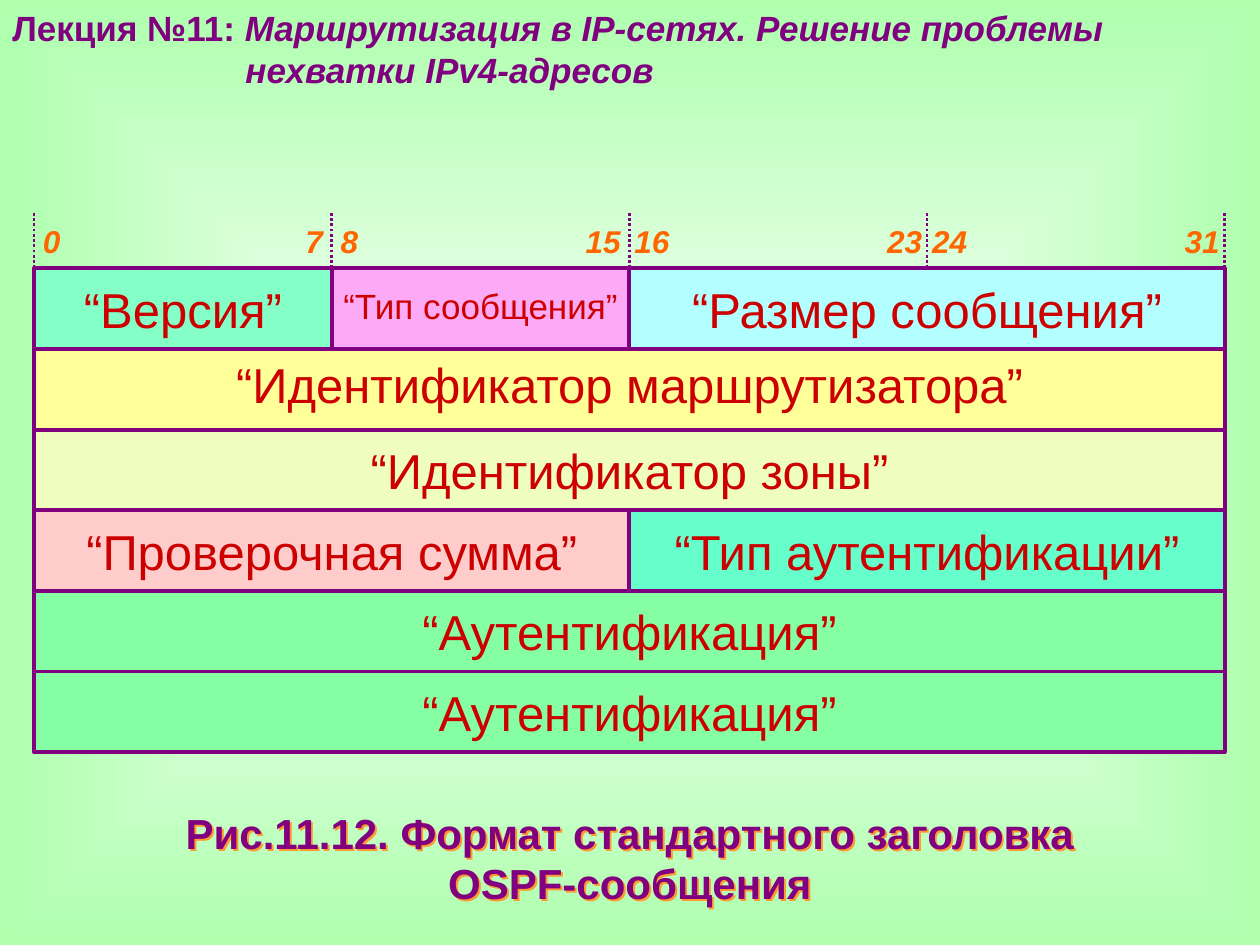
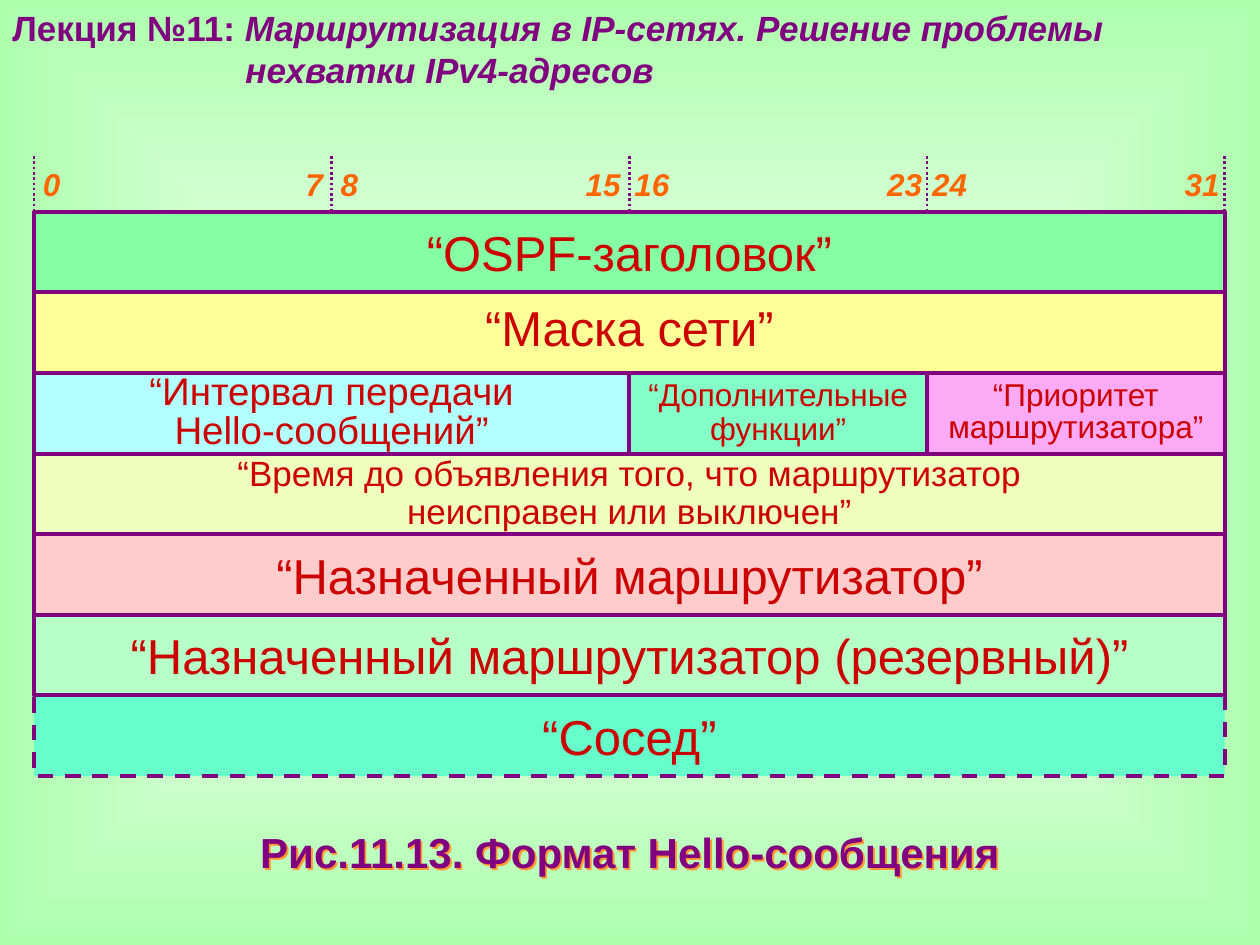
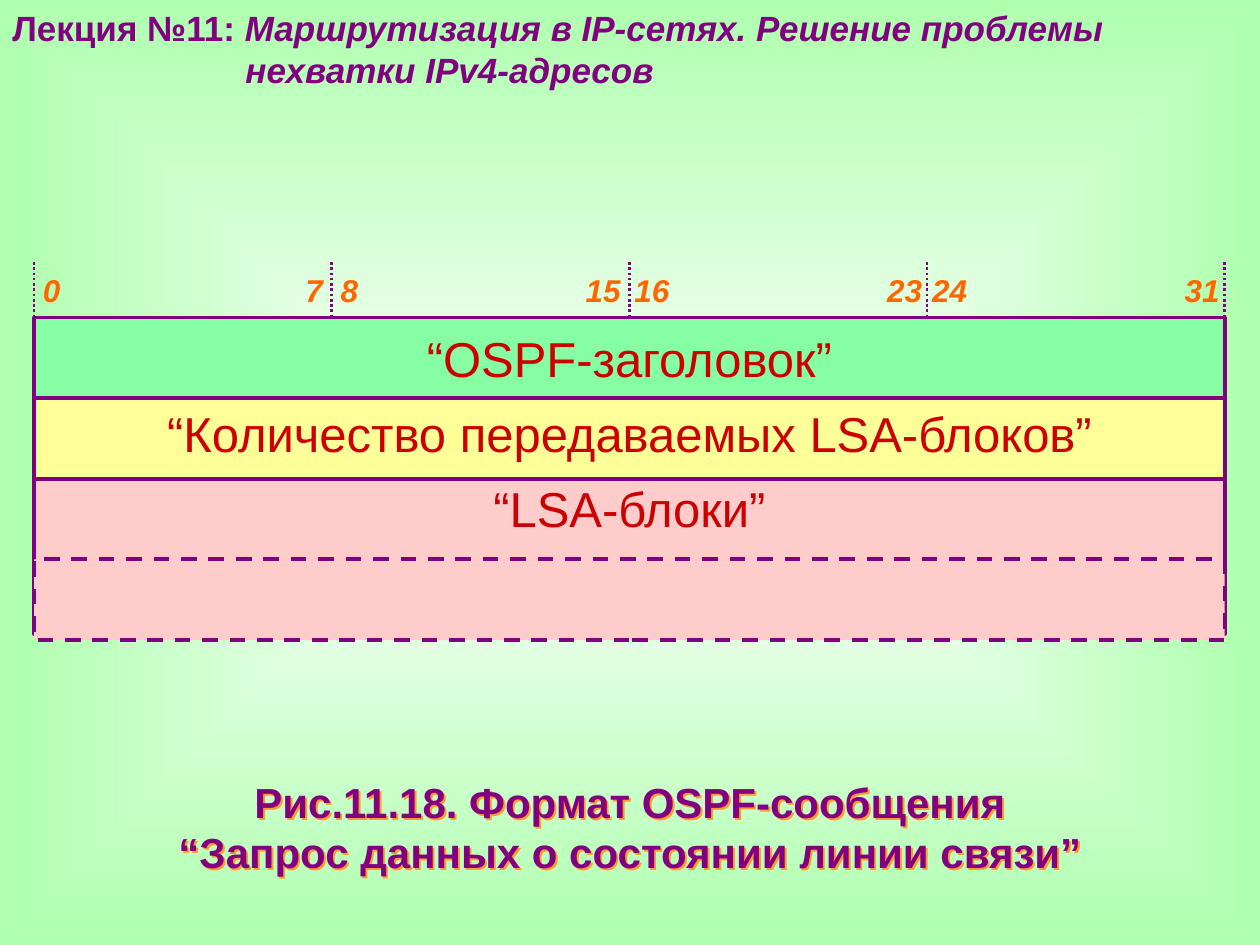
from dataclasses import dataclass

from lxml import etree
from pptx import Presentation
from pptx.dml.color import RGBColor
from pptx.enum.dml import MSO_LINE
from pptx.enum.shapes import MSO_CONNECTOR, MSO_SHAPE
from pptx.enum.text import MSO_ANCHOR, PP_ALIGN
from pptx.oxml.ns import qn
from pptx.util import Inches, Pt

RECT = MSO_SHAPE.RECTANGLE
LINE = MSO_CONNECTOR.STRAIGHT
DASH, DOT = MSO_LINE.DASH, MSO_LINE.ROUND_DOT
TOP, MID = MSO_ANCHOR.TOP, MSO_ANCHOR.MIDDLE
LEFT, MIDDLE = PP_ALIGN.LEFT, PP_ALIGN.CENTER

WIDE, HIGH = 10, 7.5    # slide size, inches
EDGE, SPAN = 0.27, 9.45  # left edge and width of the header grid
BITS = 32               # columns of the grid
BIT, ROW = SPAN / BITS, 0.64
BYTE = 8


@dataclass(frozen=True)
class Theme:
    font: str = "Arial"
    # Colours
    ink: str = "800080"
    text: str = "CC0000"
    mark: str = "FF6600"
    glow: str = "FF9933"
    core: str = "FFFFFF"
    rim: str = "AFFFAF"
    yellow: str = "FFFF99"
    pink: str = "FCAAF6"
    mint: str = "85FFC8"
    cream: str = "EFFEBE"
    green: str = "86FEA3"
    rose: str = "FFCCCC"
    teal: str = "66FFCC"
    sky: str = "B3FFFF"
    pale: str = "B8FEC9"
    # Type sizes
    note: int = 18
    small: int = 20
    fair: int = 22
    head: int = 24
    big: int = 28


T = Theme()


@dataclass
class Field:
    """A header field: place in rows and bits, then its look."""
    row: int
    start: int
    bits: int
    text: str
    fill: str
    size: int = T.big
    lead: float = 1.0
    rows: float = 1
    dash: bool = False
    anchor: MSO_ANCHOR = MID


class Deck:
    def __init__(self, theme):
        self.theme = theme
        self.prs = Presentation()
        self.prs.slide_width, self.prs.slide_height = Inches(WIDE), Inches(HIGH)
        self.paint()

    def paint(self):
        """Give the master a glow from the centre."""
        master = self.prs.slide_master
        fill = master.background.fill
        fill.gradient()
        for stop, tint in zip(fill.gradient_stops, (self.theme.core, self.theme.rim)):
            stop.color.rgb = RGBColor.from_string(tint)
        lin = next(master._element.iter(qn("a:lin")))
        glow = etree.Element(qn("a:path"), {"path": "shape"})
        sides = dict.fromkeys("ltrb", "50000")
        etree.SubElement(glow, qn("a:fillToRect"), sides)
        lin.getparent().replace(lin, glow)

    def page(self, top):
        """Start a slide whose grid begins at a share of its height."""
        self.slide = self.prs.slides.add_slide(self.prs.slide_layouts[6])
        self.top = top * HIGH

    def style(self, para, size, tint, bold=False, slant=None, align=LEFT):
        font = para.font
        font.name, font.size = self.theme.font, Pt(size)
        font.bold, font.italic = bold, slant
        font.color.rgb = RGBColor.from_string(tint)
        para.alignment = align

    def stroke(self, line, width, dash=None):
        line.color.rgb = RGBColor.from_string(self.theme.ink)
        line.width = Pt(width)
        if dash:
            line.dash_style = dash

    def box(self, x, y, w, h, text=""):
        box = self.slide.shapes.add_textbox(*map(Inches, (x, y, w, h)))
        box.text_frame.word_wrap = True
        box.text_frame.text = text
        return box

    def title(self, label, first, second):
        frame = self.box(0, 0, 0.903 * WIDE, 0.77).text_frame
        head, tail = frame.paragraphs[0], frame.add_paragraph()
        head.add_run().text = label
        run = head.add_run()
        run.text, run.font.italic = first, True
        tail.text = second
        tail._p.get_or_add_pPr().set("marL", str(Inches(1.85)))
        self.style(head, self.theme.small, self.theme.ink, True)
        self.style(tail, self.theme.small, self.theme.ink, True, True)

    def caption(self, y, text):
        lines = text.count("\n") + 1
        box = self.box(0, y * HIGH, WIDE, 0.1 + 0.4 * lines, text)
        for para in box.text_frame.paragraphs:
            self.style(para, self.theme.head, self.theme.ink, True, align=MIDDLE)
        # Coloured shadow under the letters
        fx = etree.SubElement(box._element.spPr, qn("a:effectLst"))
        shade = etree.SubElement(fx, qn("a:outerShdw"), dist="20000", dir="2700000", algn="ctr")
        etree.SubElement(shade, qn("a:srgbClr"), val=self.theme.glow)

    def tick(self, bit):
        x, y = EDGE + bit * BIT, self.top - 0.44
        line = self.slide.shapes.add_connector(LINE, *map(Inches, (x, y, x, y + 0.59)))
        self.stroke(line.line, 1.5, DOT)
        etree.SubElement(line._element.spPr, qn("a:effectLst"))

    def range(self, start):
        """Number the first and last bit of one byte."""
        pad = 0.07 if start < BITS / 2 else 0.04
        width = BYTE * BIT
        box = self.box(EDGE + start * BIT, self.top - 0.44, width, 0.44,
                       f"{start}\t{start + BYTE - 1}")
        frame = box.text_frame
        frame.margin_left = Inches(pad)
        frame.margin_right = frame.margin_top = frame.margin_bottom = 0
        frame.vertical_anchor = MID
        para = frame.paragraphs[0]
        self.style(para, self.theme.note, self.theme.mark, True, True)
        props = para._p.get_or_add_pPr()
        tabs = etree.Element(qn("a:tabLst"))
        etree.SubElement(tabs, qn("a:tab"), pos=str(Inches(width - 2 * pad)), algn="r")
        props.find(qn("a:defRPr")).addprevious(tabs)

    def ruler(self):
        for bit in range(0, BITS + 1, BYTE):
            self.tick(bit)
        for bit in range(0, BITS, BYTE):
            self.range(bit)

    def field(self, item):
        place = (EDGE + item.start * BIT, self.top + item.row * ROW,
                 item.bits * BIT, item.rows * ROW)
        cell = self.slide.shapes.add_shape(RECT, *map(Inches, place))
        cell.shadow.inherit = False
        cell.fill.solid()
        cell.fill.fore_color.rgb = RGBColor.from_string(item.fill)
        self.stroke(cell.line, 2.25, DASH if item.dash else None)
        frame = cell.text_frame
        frame.margin_left = frame.margin_right = 0
        frame.margin_top = frame.margin_bottom = 0
        frame.word_wrap, frame.vertical_anchor = True, item.anchor
        if item.text:
            frame.text = item.text
            for para in frame.paragraphs:
                self.style(para, item.size, self.theme.text, align=MIDDLE)
                para.line_spacing = item.lead


# Each page: grid top, caption top, caption, fields under and over the ruler
PAGES = [
    (0.284, 0.848, "Рис.11.12. Формат стандартного заголовка\nOSPF-сообщения", [], [
        Field(0, 0, 8, "“Версия”", T.mint),
        Field(0, 8, 8, "“Тип сообщения”", T.pink, T.small, 0.85),
        Field(0, 16, 16, "“Размер сообщения”", T.sky),
        Field(1, 0, 32, "“Идентификатор маршрутизатора”", T.yellow, lead=0.8),
        Field(2, 0, 32, "“Идентификатор зоны”", T.cream),
        Field(3, 0, 16, "“Проверочная сумма”", T.rose),
        Field(3, 16, 16, "“Тип аутентификации”", T.teal),
        Field(4, 0, 32, "“Аутентификация”", T.green),
        Field(5, 0, 32, "“Аутентификация”", T.green),
    ]),
    (0.224, 0.868, "Рис.11.13. Формат Hello-сообщения", [
        Field(6, 0, 32, "“Сосед”", T.teal, dash=True),
    ], [
        Field(0, 0, 32, "“OSPF-заголовок”", T.green),
        Field(1, 0, 32, "“Маска сети”", T.yellow, lead=0.8),
        Field(2, 0, 16, "“Интервал передачи\nHello-сообщений”", T.sky, T.fair, 0.85),
        Field(2, 16, 8, "“Дополнительные функции”", T.mint, T.note, 0.9),
        Field(2, 24, 8, "“Приоритет маршрутизатора”", T.pink, T.note, 0.85),
        Field(3, 0, 32, "“Время до объявления того, что маршрутизатор\nнеисправен или выключен”",
              T.cream, T.small, 0.9),
        Field(4, 0, 32, "“Назначенный маршрутизатор”", T.rose),
        Field(5, 0, 32, "“Назначенный маршрутизатор (резервный)”", T.pale),
    ]),
    (0.336, 0.815, "Рис.11.18. Формат OSPF-сообщения\n“Запрос данных о состоянии линии связи”", [
        Field(2, 0, 32, "“LSA-блоки”", T.rose, rows=1.92, anchor=TOP),
    ], [
        Field(0, 0, 32, "“OSPF-заголовок”", T.green),
        Field(1, 0, 32, "“Количество передаваемых LSA-блоков”", T.yellow, lead=0.8),
        Field(3, 0, 32, "", T.rose, dash=True),
    ]),
]


def main():
    deck = Deck(T)
    for top, low, text, under, over in PAGES:
        deck.page(top)
        deck.title("Лекция №11: ", "Маршрутизация в IP-сетях. Решение проблемы",
                   "нехватки IPv4-адресов")
        deck.caption(low, text)
        for item in under:
            deck.field(item)
        deck.ruler()
        for item in over:
            deck.field(item)
    deck.prs.save("out.pptx")


if __name__ == "__main__":
    main()
